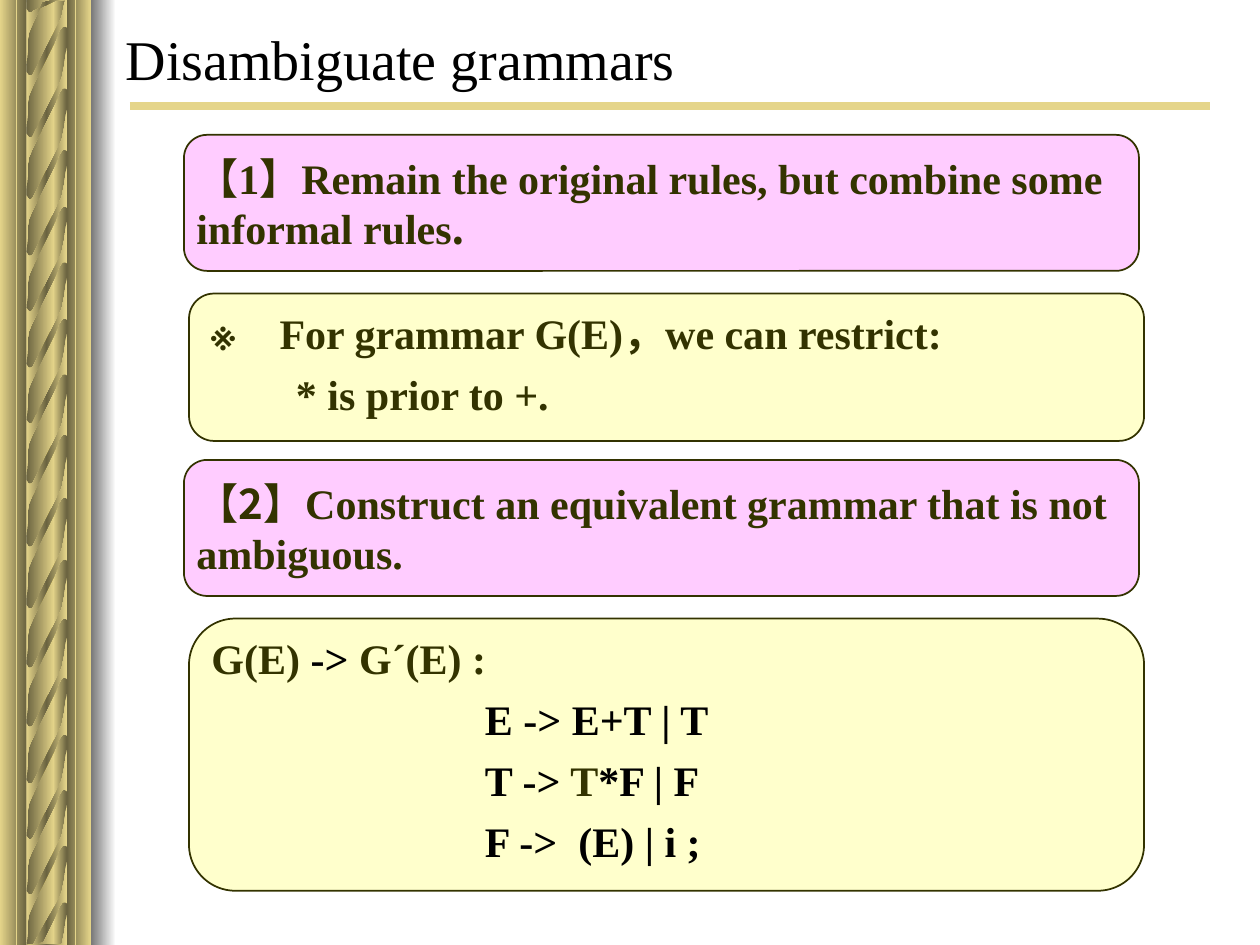
from copy import deepcopy

from pptx import Presentation
from pptx.dml.color import RGBColor
from pptx.enum.shapes import MSO_CONNECTOR, MSO_SHAPE
from pptx.enum.text import MSO_ANCHOR
from pptx.oxml.ns import qn
from pptx.util import Emu, Inches, Pt
from lxml import etree

STRAIGHT = MSO_CONNECTOR.STRAIGHT
RECTANGLE, ROUNDED = MSO_SHAPE.RECTANGLE, MSO_SHAPE.ROUNDED_RECTANGLE
MIDDLE, TOP = MSO_ANCHOR.MIDDLE, MSO_ANCHOR.TOP

WIDTH, HEIGHT = 10, 7.5
THEME = {
    "gold": "E5D58A", "bronze": "6A6340", "gray": "767676", "white": "FFFFFF",
    "pink": "FFCCFF", "cream": "FFFFCC", "olive": "333300", "black": "000000",
    "serif": "Times New Roman", "sans": "Noto Sans CJK SC",
    "title_size": 32, "body_size": 24, "thin": 1, "thick": 4.5,
}

# Content: each run is (text, colour, font); each paragraph is (indent, runs)
TITLE = [(0, [("Disambiguate grammars", "black", "serif")])]
NOTE_TAB = 0.54
NOTE_INDENT = 0.67
RULE_INDENT = 2.17
CARDS = [
    {"kind": "point", "top": 1.07, "height": 1.08, "paragraphs": [
        (0, [("【", "olive", "sans"),
             ("1】Remain the original rules, but combine some informal rules",
              "olive", "serif"),
             (".", "olive", "sans")])]},
    {"kind": "detail", "top": 2.33, "height": 1.17, "paragraphs": [
        (0, [("※\tFor grammar G(E)，we can restrict:", "olive", "serif")]),
        (NOTE_INDENT, [("* is prior to +.", "olive", "serif")])]},
    {"kind": "point", "top": 3.65, "height": 1.08, "paragraphs": [
        (0, [("【2】", "olive", "sans"),
             ("Construct an equivalent grammar that is not ambiguous.",
              "olive", "serif")])]},
    {"kind": "detail", "top": 4.91, "height": 2.16, "paragraphs": [
        (0, [("G(E) ", "olive", "serif"), ("-> ", "black", "serif"),
             ("G´(E) :", "olive", "serif")]),
        (RULE_INDENT, [("E -> E+T | T", "black", "serif")]),
        (RULE_INDENT, [("T ->", "black", "serif"), (" T", "olive", "serif"),
                       ("*F | F", "black", "serif")]),
        (RULE_INDENT, [("F ->  (E) | i ;", "black", "serif")])]},
]
CARD_WIDTH = 7.58
CARD_KINDS = {
    "point": {"left": 1.46, "fill": "pink", "text_dx": 0, "text_dy": 0.09},
    "detail": {"left": 1.5, "fill": "cream", "text_dx": 0.08, "text_dy": 0.06},
}

# Braided border: columns as (left, width, gradient colours)
COLUMNS = [
    (0.42, 0.11, ("gold", "bronze")), (0, 0.21, ("gold", "bronze")),
    (0.21, 0.22, ("bronze", "gold")), (0.53, 0.19, ("bronze", "gold")),
    (0.72, 0.2, ("gray", "white")),
]
PINSTRIPES = [0.13, 0.6]
# One strand in hundredths of an inch, measured from its own top
STRAND = [
    (53, 9), (53, 33), (52, 32), (50, 32), (49, 33), (47, 36), (43, 45),
    (34, 63), (25, 82), (23, 87), (22, 93), (22, 101), (21, 112), (21, 63),
    (21, 68), (22, 70), (23, 71), (25, 71), (26, 70), (45, 33), (49, 24),
    (50, 19), (51, 14), (52, 6), (53, 0), (53, 20),
]
STRAND_TOPS = [-61, -11, 38, 87, 132, 176, 221, 265, 313, 363, 412, 459, 506,
               551, 595, 639, 684, 726]


def color(name):
    return RGBColor.from_string(THEME[name])


def paint_gradient(shape, names):
    """Spread the named colours evenly from left to right."""
    shape.shadow.inherit = False
    shape.line.fill.background()
    shape.fill.gradient()
    shape.fill.gradient_angle = 0
    stop_list = shape._element.spPr.find(".//" + qn("a:gsLst"))
    while len(stop_list) < len(names):
        stop_list.insert(1, deepcopy(stop_list[0]))
    for index, (stop, name) in enumerate(zip(shape.fill.gradient_stops, names)):
        stop.position = index / (len(names) - 1)
        stop.color.rgb = color(name)


def add_rule(slide, start, end, weight):
    connector = slide.shapes.add_connector(
        STRAIGHT, *(Inches(value) for value in (*start, *end)))
    connector.line.color.rgb = color("gold")
    connector.line.width = Pt(THEME[weight])
    etree.SubElement(connector._element.spPr, qn("a:effectLst"))


def add_text(slide, box, paragraphs, size, bold, anchor, tab=None):
    frame = slide.shapes.add_textbox(*(Inches(value) for value in box)).text_frame
    for name, value in {"word_wrap": True, "vertical_anchor": anchor}.items():
        setattr(frame, name, value)
    for index, (indent, runs) in enumerate(paragraphs):
        paragraph = frame.paragraphs[0] if index == 0 else frame.add_paragraph()
        properties = paragraph._p.get_or_add_pPr()
        properties.set("marL", str(Inches(indent)))
        if tab and any("\t" in text for text, _, _ in runs):
            tabs = etree.SubElement(properties, qn("a:tabLst"))
            etree.SubElement(tabs, qn("a:tab"), pos=str(Inches(tab)), algn="l")
        if index:
            paragraph.space_before = Pt(6)
        for text, color_name, font_name in runs:
            run = paragraph.add_run()
            run.text = text
            font_format = {"size": Pt(THEME[size]), "bold": bold,
                           "name": THEME[font_name]}
            for name, value in font_format.items():
                setattr(run.font, name, value)
            run.font.color.rgb = color(color_name)
            etree.SubElement(run._r.get_or_add_rPr(), qn("a:ea"),
                             typeface=THEME["sans"])


def add_border(slide):
    for left, width, names in COLUMNS:
        column = slide.shapes.add_shape(
            RECTANGLE, Inches(left), 0, Inches(width), Inches(HEIGHT))
        paint_gradient(column, names)
    for top in STRAND_TOPS:
        # Strands are cut off at the slide's top and bottom edges
        points = [(x, min(max(top + y, 0), int(HEIGHT * 100))) for x, y in STRAND]
        builder = slide.shapes.build_freeform(*points[0], scale=Inches(0.01))
        builder.add_line_segments(points[1:], close=True)
        paint_gradient(builder.convert_to_shape(Emu(0), Emu(0)),
                       ("gold", "bronze", "gold"))
    for x in PINSTRIPES:
        add_rule(slide, (x, 0), (x, HEIGHT), "thin")


def add_card(slide, card):
    kind = CARD_KINDS[card["kind"]]
    left, top, height = kind["left"], card["top"], card["height"]
    shape = slide.shapes.add_shape(
        ROUNDED, *(Inches(value) for value in (left, top, CARD_WIDTH, height)))
    shape.shadow.inherit = False
    shape.adjustments[0] = 0.17
    shape.fill.solid()
    shape.fill.fore_color.rgb = color(kind["fill"])
    shape.line.color.rgb = color("olive")
    shape.line.width = Pt(THEME["thin"])
    box = (left + kind["text_dx"], top + kind["text_dy"],
           CARD_WIDTH, height - 2 * kind["text_dy"])
    add_text(slide, box, card["paragraphs"], "body_size", True, TOP, NOTE_TAB)


def main():
    presentation = Presentation()
    presentation.slide_width = Inches(WIDTH)
    presentation.slide_height = Inches(HEIGHT)
    slide = presentation.slides.add_slide(presentation.slide_layouts[6])
    add_border(slide)
    # Title and its underline
    add_rule(slide, (1.03, 0.84), (9.6, 0.84), "thick")
    add_text(slide, (0.9, 0.13, 7.69, 0.67), TITLE, "title_size", False, MIDDLE)
    for card in CARDS:
        add_card(slide, card)
    presentation.save("out.pptx")


if __name__ == "__main__":
    main()
